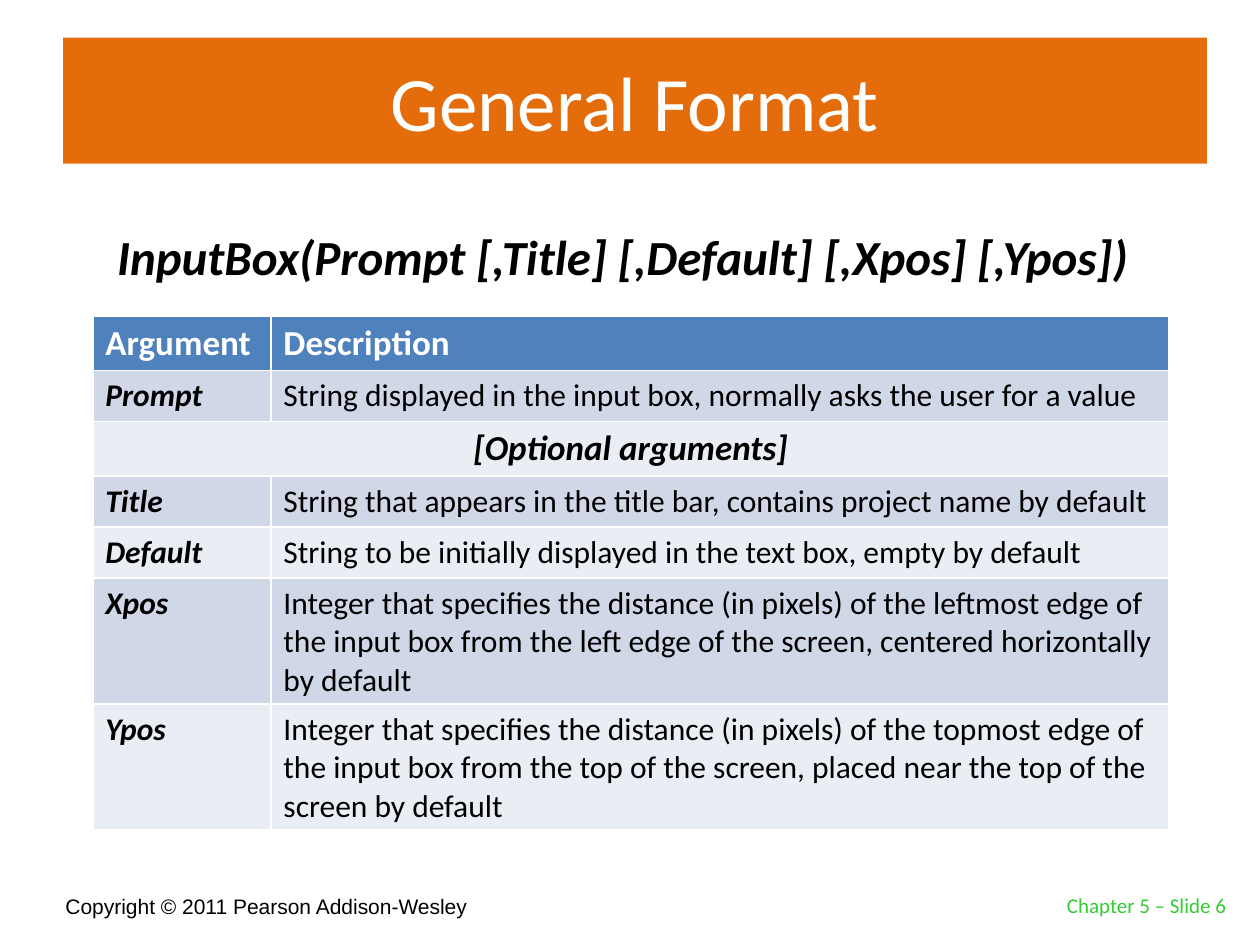
import pptx
import pptx.dml.color
import pptx.enum.text
import pptx.util

Cm = pptx.util.Cm
ALIGN = pptx.enum.text.PP_ALIGN
ANCHOR = pptx.enum.text.MSO_ANCHOR

HEADER = ("Argument", "Description")
OPTIONAL_HEADING = "[Optional arguments]"
ARGUMENTS = [
    ("Prompt", "String displayed in the input box, normally asks the user for a value"),
    (OPTIONAL_HEADING, ""),
    ("Title", "String that appears in the title bar, contains project name by default"),
    ("Default", "String to be initially displayed in the text box, empty by default"),
    ("Xpos", "Integer that specifies the distance (in pixels) of the leftmost edge of "
             "the input box from the left edge of the screen, centered horizontally by default"),
    ("Ypos", "Integer that specifies the distance (in pixels) of the topmost edge of "
             "the input box from the top of the screen, placed near the top of the screen by default"),
]
COLUMN_WIDTHS = (3.59, 18.1)
ROW_HEIGHTS = (1.09, 1.02, 1.1, 1.03, 1.03, 2.54, 2.54)
BAND_FILLS = ("D0D8E8", "E9EDF4")


def color(hex_string):
    return pptx.dml.color.RGBColor.from_string(hex_string)


def fill_solid(target, hex_string):
    target.fill.solid()
    target.fill.fore_color.rgb = color(hex_string)


def write(frame, text, size, hex_string="000000", name="Calibri",
          bold=False, italic=False, align=ALIGN.LEFT):
    para = frame.paragraphs[0]
    para.text = text
    para.alignment = align
    font = para.font
    font.name, font.size = name, pptx.util.Pt(size)
    font.bold, font.italic = bold, italic
    font.color.rgb = color(hex_string)


def add_text(page, left, top, width, height, text, size, anchor=ANCHOR.TOP, **style):
    box = page.shapes.add_textbox(Cm(left), Cm(top), Cm(width), Cm(height))
    box.text_frame.word_wrap = True
    box.text_frame.vertical_anchor = anchor
    write(box.text_frame, text, size, **style)


def format_title(page, text):
    title = page.shapes.title
    title.left, title.top, title.width, title.height = Cm(1.27), Cm(0.76), Cm(23.06), Cm(2.54)
    fill_solid(title, "E46C0A")
    title.text_frame.vertical_anchor = ANCHOR.MIDDLE
    write(title.text_frame, text, 44, "FFFFFF", align=ALIGN.CENTER)


def add_argument_table(page):
    table = page.shapes.add_table(
        len(ROW_HEIGHTS), len(COLUMN_WIDTHS), Cm(1.87), Cm(6.37),
        Cm(sum(COLUMN_WIDTHS)), Cm(sum(ROW_HEIGHTS))).table
    for column, width in zip(table.columns, COLUMN_WIDTHS):
        column.width = Cm(width)
    for row, height in zip(table.rows, ROW_HEIGHTS):
        row.height = Cm(height)

    for index, text in enumerate(HEADER):
        cell = table.cell(0, index)
        fill_solid(cell, "4F81BD")
        write(cell.text_frame, text, 20, "FFFFFF", bold=True)

    for index, (argument, description) in enumerate(ARGUMENTS):
        name_cell, description_cell = table.rows[index + 1].cells
        for cell in (name_cell, description_cell):
            fill_solid(cell, BAND_FILLS[index % 2])
        if argument == OPTIONAL_HEADING:
            name_cell.merge(description_cell)
            write(name_cell.text_frame, argument, 20, bold=True, italic=True,
                  align=ALIGN.CENTER)
        else:
            write(name_cell.text_frame, argument, 18, bold=True, italic=True)
            write(description_cell.text_frame, description, 18)


def main():
    deck = pptx.Presentation()
    deck.slide_width, deck.slide_height = Cm(25.4), Cm(19.05)
    page = deck.slides.add_slide(deck.slide_layouts[5])
    format_title(page, "General Format")
    add_text(page, 1.07, 17.58, 15.44, 1.07, "Copyright © 2011 Pearson Addison-Wesley", 12,
             anchor=ANCHOR.BOTTOM, name="Arial")
    add_text(page, 19.69, 17.35, 5.28, 1.27, "Chapter 5 – Slide 6", 12,
             anchor=ANCHOR.BOTTOM, hex_string="33CC33", align=ALIGN.RIGHT)
    add_text(page, 2.11, 4.45, 21.16, 1.45,
             "InputBox(Prompt [,Title] [,Default] [,Xpos] [,Ypos])", 28,
             bold=True, italic=True)
    add_argument_table(page)
    deck.save("out.pptx")


if __name__ == "__main__":
    main()
